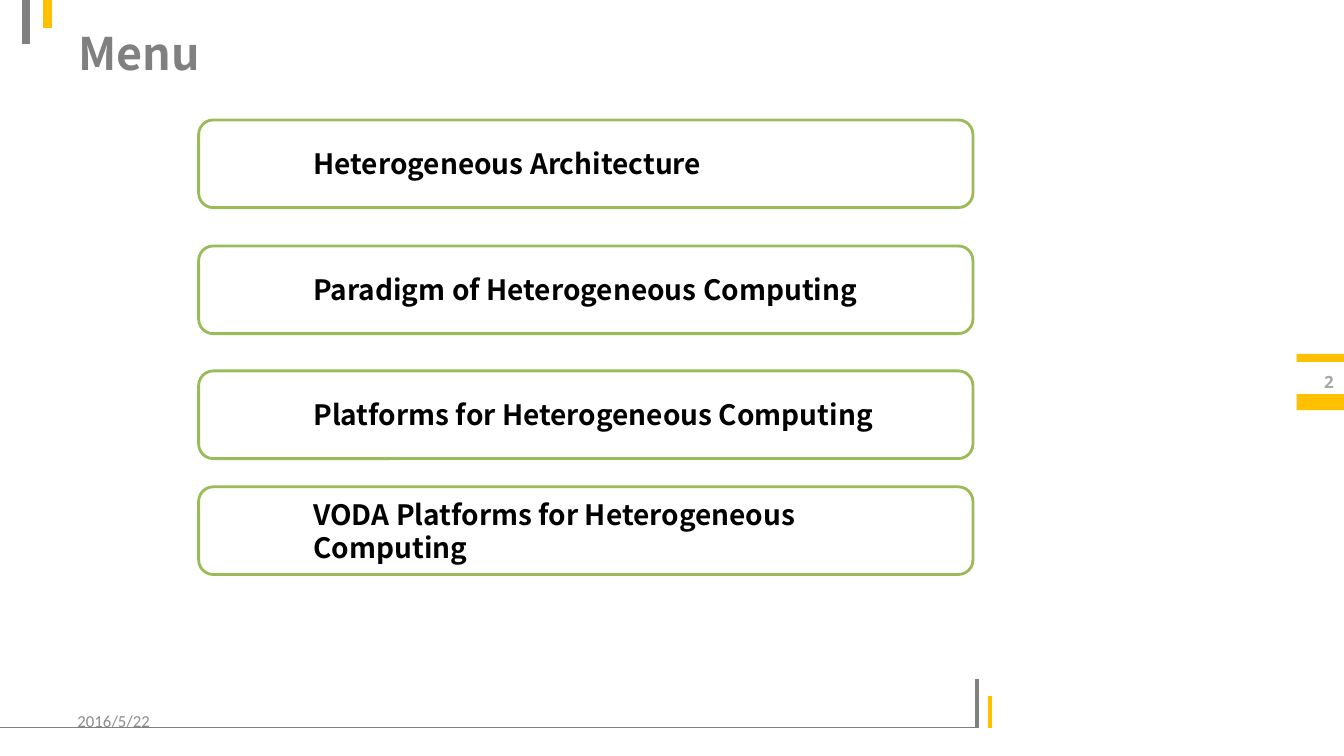
from dataclasses import dataclass

from lxml import etree
from pptx import Presentation
from pptx.dml.color import RGBColor
from pptx.enum import shapes, text
from pptx.oxml.ns import qn
from pptx.util import Inches, Pt


@dataclass(frozen=True)
class Theme:
    gray: str = "808080"
    amber: str = "FFC000"
    green: str = "9BBB59"
    white: str = "FFFFFF"
    black: str = "000000"
    date_gray: str = "8C8C8C"
    number_gray: str = "A6A6A6"
    font: str = "Noto Sans CJK SC"
    date_font: str = "Calibri"
    number_font: str = "Noto Sans Mono"
    title_size: int = 32
    item_size: int = 20
    small_size: int = 12


T = Theme()

TITLE = "Menu"
DATE = "2016/5/22"
NUMBER = "2"

# (text, top of its frame)
ITEMS = [
    ("Heterogeneous Architecture", 1.19),
    ("Paradigm of Heterogeneous Computing", 2.44),
    ("Platforms for Heterogeneous Computing", 3.68),
    ("VODA Platforms for Heterogeneous Computing", 4.83),
]
FRAME_LEFT, FRAME_W, FRAME_H = 1.97, 7.68, 0.87
LABEL_LEFT, LABEL_W, LABEL_H = 3.01, 6.14, 1.03

# (x1, y1, x2, y2, colour, width)
RULES = [
    (0, 7.22, 9.71, 7.22, T.gray, 0.75),
    (9.69, 7.22, 9.69, 6.74, T.gray, 3),
    (9.82, 7.22, 9.82, 6.9, T.amber, 3),
    (0.26, 0, 0.26, 0.44, T.gray, 6),
    (0.47, 0, 0.47, 0.28, T.amber, 6),
]
NUMBER_BARS = [(12.86, 3.91, 0.47, 0.16), (12.86, 3.51, 0.47, 0.08)]


def rgb(color):
    return RGBColor.from_string(color)


def add_rule(s, x1, y1, x2, y2, color, width):
    line = s.shapes.add_connector(
        shapes.MSO_CONNECTOR.STRAIGHT, *map(Inches, (x1, y1, x2, y2)))
    line.line.color.rgb = rgb(color)
    line.line.width = Pt(width)
    etree.SubElement(line._element.spPr, qn("a:effectLst"))


def add_box(parent, kind, box, fill, line=None):
    sp = parent.shapes.add_shape(kind, *map(Inches, box))
    sp.shadow.inherit = False
    sp.fill.solid()
    sp.fill.fore_color.rgb = rgb(fill)
    if line:
        sp.line.color.rgb = rgb(line)
        sp.line.width = Pt(2)
    else:
        sp.line.fill.background()


def write(sp, words, size, color, font=T.font, bold=True,
          align=text.PP_ALIGN.LEFT):
    """Fill a shape with one vertically centred paragraph."""
    tf = sp.text_frame
    tf.word_wrap = True
    tf.auto_size = text.MSO_AUTO_SIZE.NONE
    tf.vertical_anchor = text.MSO_ANCHOR.MIDDLE
    p = tf.paragraphs[0]
    p.alignment = align
    r = p.add_run()
    r.text = words
    r.font.name, r.font.size, r.font.bold = font, Pt(size), bold
    r.font.color.rgb = rgb(color)


def add_text(parent, box, *args, **kwargs):
    write(parent.shapes.add_textbox(*map(Inches, box)), *args, **kwargs)


def add_item(s, words, top):
    group = s.shapes.add_group_shape()
    add_box(group, shapes.MSO_SHAPE.ROUNDED_RECTANGLE,
            (FRAME_LEFT, top, FRAME_W, FRAME_H), T.white, T.green)
    label_top = top - (LABEL_H - FRAME_H) / 2
    add_text(group, (LABEL_LEFT, label_top, LABEL_W, LABEL_H),
             words, T.item_size, T.black)


def main():
    prs = Presentation()
    prs.slide_width, prs.slide_height = Inches(13.33), Inches(7.5)
    s = prs.slides.add_slide(prs.slide_layouts[5])

    for rule in RULES:
        add_rule(s, *rule)
    for bar in NUMBER_BARS:
        add_box(s, shapes.MSO_SHAPE.RECTANGLE, bar, T.amber)

    title = s.shapes.title
    title.left, title.top = Inches(0.68), Inches(0.13)
    title.width, title.height = Inches(11.97), Inches(0.79)
    write(title, TITLE, T.title_size, T.gray)

    for words, top in ITEMS:
        add_item(s, words, top)

    add_text(s, (0.67, 6.95, 3.11, 0.4), DATE, T.small_size, T.date_gray,
             font=T.date_font, bold=False)
    add_text(s, (12.76, 3.59, 0.57, 0.4), NUMBER, T.small_size, T.number_gray,
             font=T.number_font, align=text.PP_ALIGN.RIGHT)

    prs.save("out.pptx")


if __name__ == "__main__":
    main()
